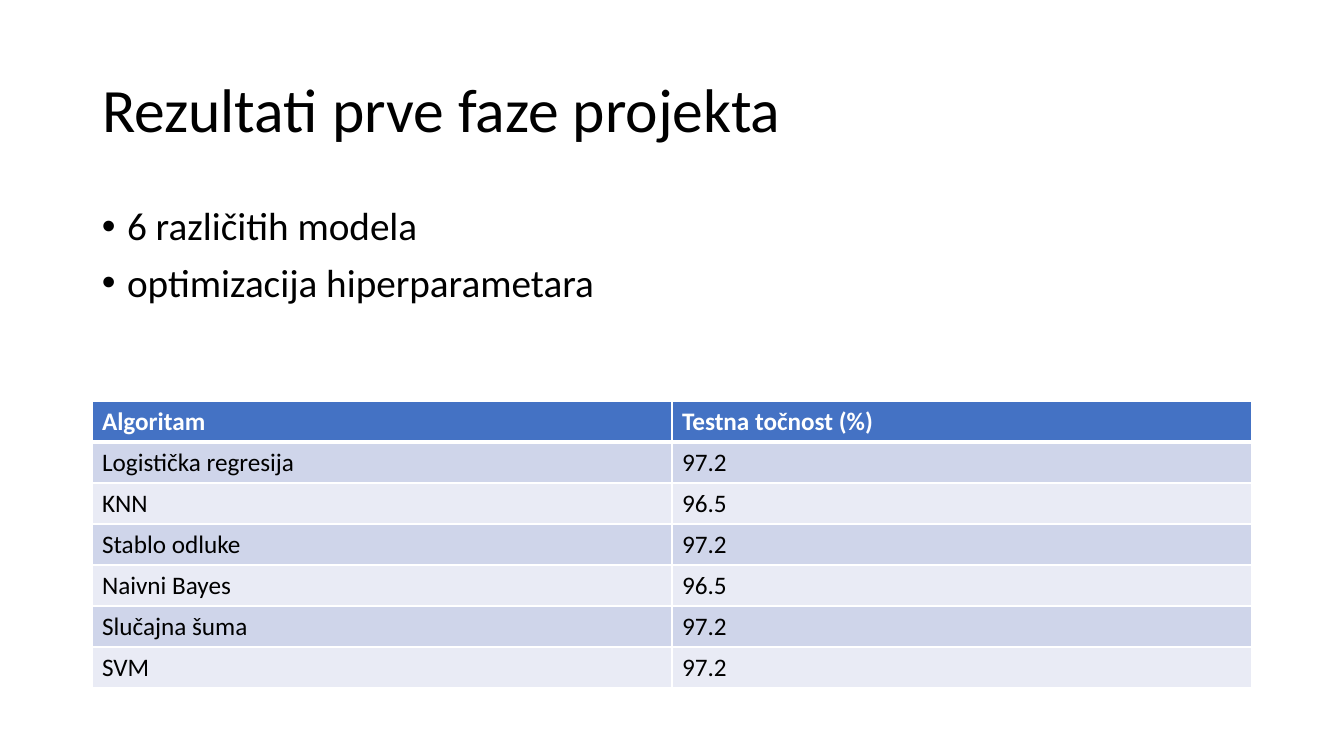
from lxml import etree
from pptx import Presentation
from pptx import util as u
from pptx.dml.color import RGBColor
from pptx.enum import text
from pptx.oxml.ns import qn

TITLE = "Rezultati prve faze projekta"
POINTS = ["6 različitih modela", "optimizacija hiperparametara"]
RESULTS = [
    ("Algoritam", "Testna točnost (%)"),
    ("Logistička regresija", "97.2"),
    ("KNN", "96.5"),
    ("Stablo odluke", "97.2"),
    ("Naivni Bayes", "96.5"),
    ("Slučajna šuma", "97.2"),
    ("SVM", "97.2"),
]
FONT = "Calibri"
BLACK, WHITE = "000000", "FFFFFF"
HEADER_FILL, BAND_FILLS = "4472C4", ("CFD5EA", "E9EBF5")

SLIDE_W, SLIDE_H = 1344, 756
LEFT, WIDTH = 92, 1160
TITLE_TOP, TITLE_H = 40, 146
POINTS_TOP, POINTS_H = 202, 199
TABLE_TOP, ROW_H = 401, 41
EMU_PER_PX = 914400 / 100.8


def px(length):
    return u.Emu(round(length * EMU_PER_PX))


def rgb(color):
    return RGBColor.from_string(color)


def style(paragraph, size, color=BLACK, bold=False):
    paragraph.alignment = text.PP_ALIGN.LEFT
    for run in paragraph.runs:
        run.font.name = FONT
        run.font.size = u.Pt(size)
        run.font.bold = bold
        run.font.color.rgb = rgb(color)


def add_bullet(paragraph):
    props = paragraph._p.get_or_add_pPr()
    indent = u.Inches(0.25)
    props.set("marL", str(indent))
    props.set("indent", str(-indent))
    etree.SubElement(props, qn("a:buFont"), typeface="Arial")
    etree.SubElement(props, qn("a:buChar"), char="•")


def add_borders(cell, widths):
    """Draw white cell borders; widths maps the side tag to points."""
    props = cell._tc.get_or_add_tcPr()
    for side, width in widths.items():
        line = etree.SubElement(props, qn(f"a:{side}"), w=str(u.Pt(width)))
        fill = etree.SubElement(line, qn("a:solidFill"))
        etree.SubElement(fill, qn("a:srgbClr"), val=WHITE)


def add_title(slide):
    title = slide.shapes.title
    title.left, title.top = px(LEFT), px(TITLE_TOP)
    title.width, title.height = px(WIDTH), px(TITLE_H)
    frame = title.text_frame
    frame.text = TITLE
    frame.vertical_anchor = text.MSO_ANCHOR.MIDDLE
    frame.paragraphs[0].line_spacing = 0.9
    style(frame.paragraphs[0], 44)


def add_points(slide):
    box = slide.shapes.add_textbox(px(LEFT), px(POINTS_TOP), px(WIDTH), px(POINTS_H))
    frame = box.text_frame
    frame.word_wrap = True
    frame.text = "\n".join(POINTS)
    for i, paragraph in enumerate(frame.paragraphs):
        add_bullet(paragraph)
        paragraph.line_spacing = 0.9
        paragraph.space_before = u.Pt(10 if i else 0)
        style(paragraph, 28)


def add_results(slide):
    table = slide.shapes.add_table(
        len(RESULTS), len(RESULTS[0]), px(LEFT), px(TABLE_TOP),
        px(WIDTH), px(ROW_H * len(RESULTS))).table
    for r, values in enumerate(RESULTS):
        header = r == 0
        for c, value in enumerate(values):
            cell = table.cell(r, c)
            cell.text = value
            style(cell.text_frame.paragraphs[0], 18, WHITE if header else BLACK, header)
            add_borders(cell, {"lnL": 1, "lnR": 1, "lnT": 3 if r == 1 else 1,
                               "lnB": 3 if header else 1})
            cell.fill.solid()
            cell.fill.fore_color.rgb = rgb(HEADER_FILL if header else BAND_FILLS[(r - 1) % 2])


def main():
    deck = Presentation()
    deck.slide_width, deck.slide_height = px(SLIDE_W), px(SLIDE_H)
    slide = deck.slides.add_slide(deck.slide_layouts[5])
    add_title(slide)
    add_results(slide)
    add_points(slide)
    deck.save("out.pptx")


if __name__ == "__main__":
    main()
